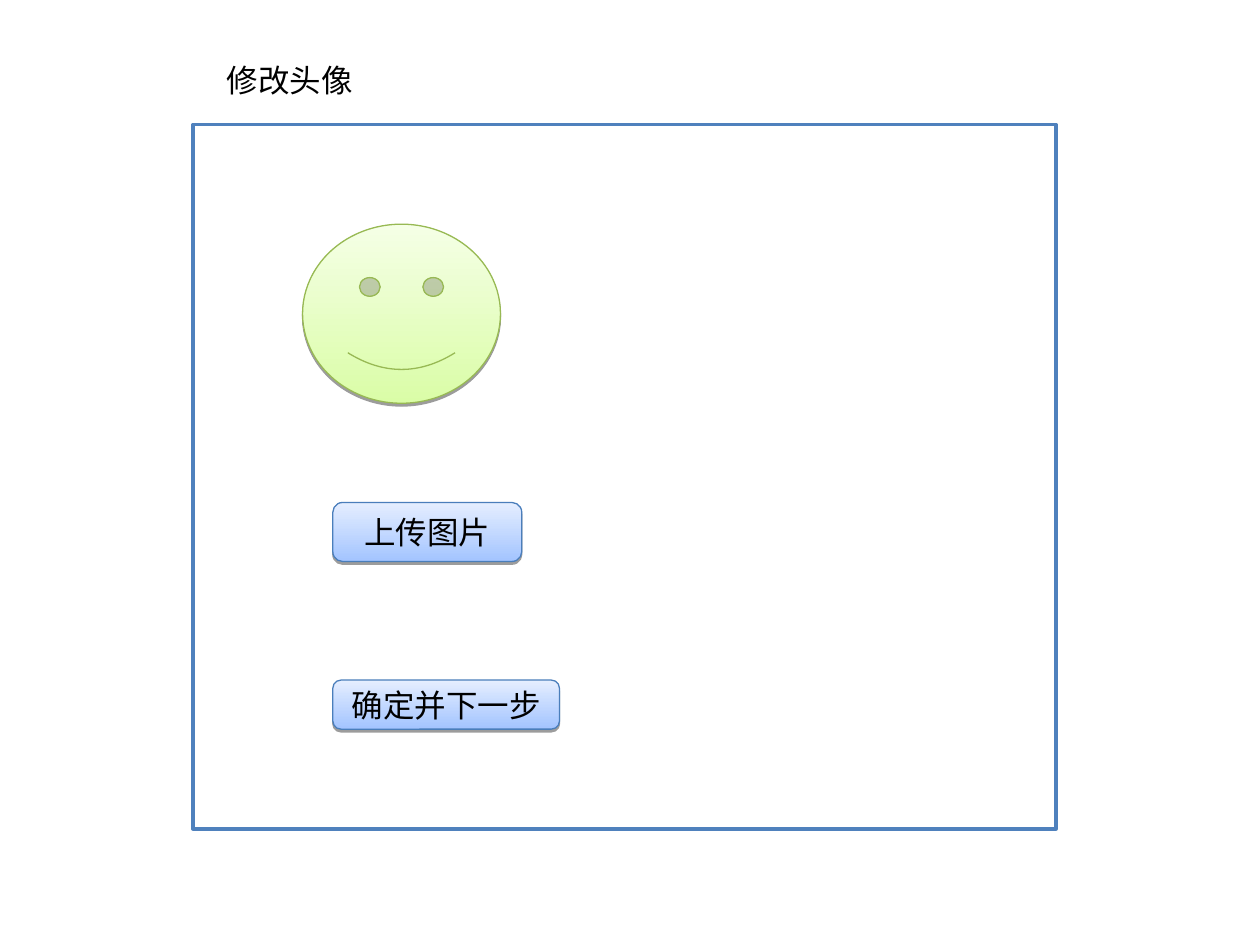
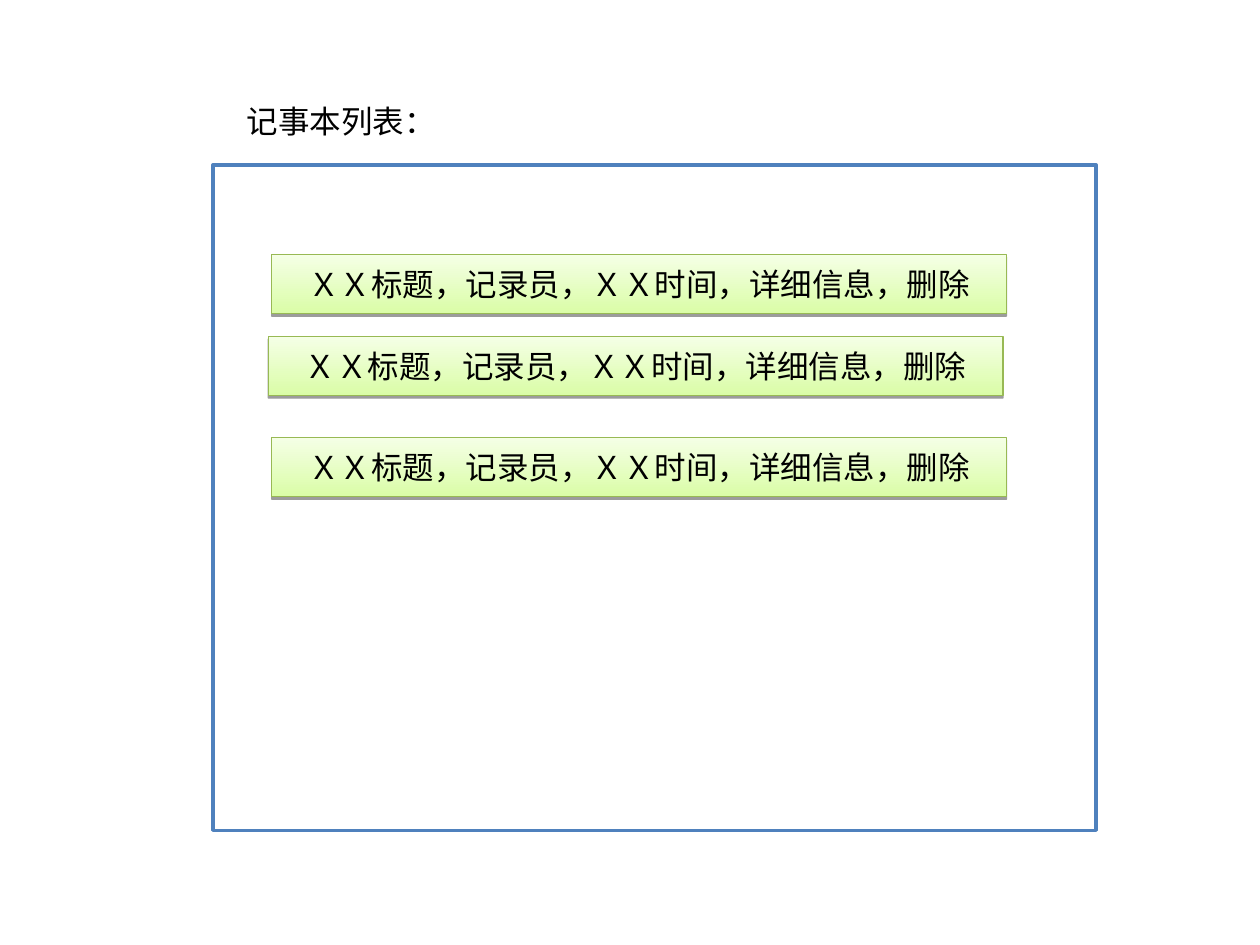
from lxml.etree import SubElement
from pptx import Presentation
from pptx.dml.color import RGBColor
from pptx.enum.shapes import MSO_SHAPE
from pptx.enum.text import MSO_ANCHOR, MSO_AUTO_SIZE, PP_ALIGN
from pptx.oxml.ns import qn
from pptx.util import Cm, Pt

FONT = "Calibri"
WHITE, BLACK, EDGE = "FFFFFF", "000000", "4F81BD"
# Each look: bottom colour, top colour, line colour
GREEN = ("DAFDA7", "F5FFE6", "98B954")
BLUE = ("A3C4FF", "E5EEFF", "4A7EBB")


def color(code):
    return RGBColor.from_string(code)


def write(shape, text, size=18, ink=BLACK, align=PP_ALIGN.CENTER,
          anchor=MSO_ANCHOR.MIDDLE, wrap=True):
    frame = shape.text_frame
    frame.text = text
    frame.word_wrap = wrap
    frame.vertical_anchor = anchor
    para = frame.paragraphs[0]
    para.alignment = align
    font = para.runs[0].font
    font.name, font.size = FONT, Pt(size)
    font.color.rgb = color(ink)


def place(slide, kind, box, line, width):
    shape = slide.shapes.add_shape(kind, *map(Cm, box))
    shape.shadow.inherit = False
    shape.line.color.rgb = color(line)
    shape.line.width = Pt(width)
    return shape


def drop(shape):
    """Hard shadow just below the shape."""
    effects = shape._element.spPr.find(qn("a:effectLst"))
    outer = SubElement(effects, qn("a:outerShdw"), blurRad="0",
                       dist=str(Pt(1.6)), dir="5400000", rotWithShape="0")
    tint = SubElement(outer, qn("a:srgbClr"), val=BLACK)
    SubElement(tint, qn("a:alpha"), val="38000")


def panel(slide, kind, box, look, text=None):
    """Shaded shape with a shadow and an optional label."""
    low, high, line = look
    shape = place(slide, kind, box, line, 0.75)
    shape.fill.gradient()
    shape.fill.gradient_angle = 90
    for stop, code in zip(shape.fill.gradient_stops, (low, high)):
        stop.color.rgb = color(code)
    drop(shape)
    if text:
        write(shape, text)


def screen(deck, title, span, box):
    """Slide with a framed screen and its title just above."""
    slide = deck.slides.add_slide(deck.slide_layouts[5])
    left, top = box[:2]
    head = slide.shapes.title
    head.left, head.top = Cm(left + 0.43), Cm(top - 1.41)
    head.width, head.height = Cm(span), Cm(1.02)
    write(head, title, align=PP_ALIGN.LEFT, anchor=MSO_ANCHOR.TOP, wrap=False)
    head.text_frame.auto_size = MSO_AUTO_SIZE.SHAPE_TO_FIT_TEXT
    frame = place(slide, MSO_SHAPE.RECTANGLE, box, EDGE, 2)
    frame.fill.solid()
    frame.fill.fore_color.rgb = color(WHITE)
    return slide


def avatar(deck, box):
    slide = screen(deck, "修改头像", 3.05, box)
    left, top = box[:2]
    # Current avatar
    panel(slide, MSO_SHAPE.SMILEY_FACE,
          (left + 2.21, top + 2.01, 3.99, 3.61), GREEN)
    # Buttons
    for text, down, width, height in (("上传图片", 7.62, 3.81, 1.19),
                                      ("确定并下一步", 11.2, 4.57, 0.99)):
        panel(slide, MSO_SHAPE.ROUNDED_RECTANGLE,
              (left + 2.82, top + down, width, height), BLUE, text)


def notes(deck, box):
    slide = screen(deck, "记事本列表：", 4.32, box)
    left, top = box[:2]
    # Note rows
    for across, down in ((1.19, 1.8), (1.12, 3.45), (1.19, 5.49)):
        panel(slide, MSO_SHAPE.RECTANGLE,
              (left + across, top + down, 14.81, 1.19), GREEN,
              "ＸＸ标题，记录员，ＸＸ时间，详细信息，删除")


def main():
    deck = Presentation()
    deck.slide_width, deck.slide_height = Cm(25.4), Cm(19.05)
    avatar(deck, (3.89, 2.51, 17.4, 14.2))
    notes(deck, (4.29, 3.33, 17.81, 13.41))
    deck.save("out.pptx")


if __name__ == "__main__":
    main()
